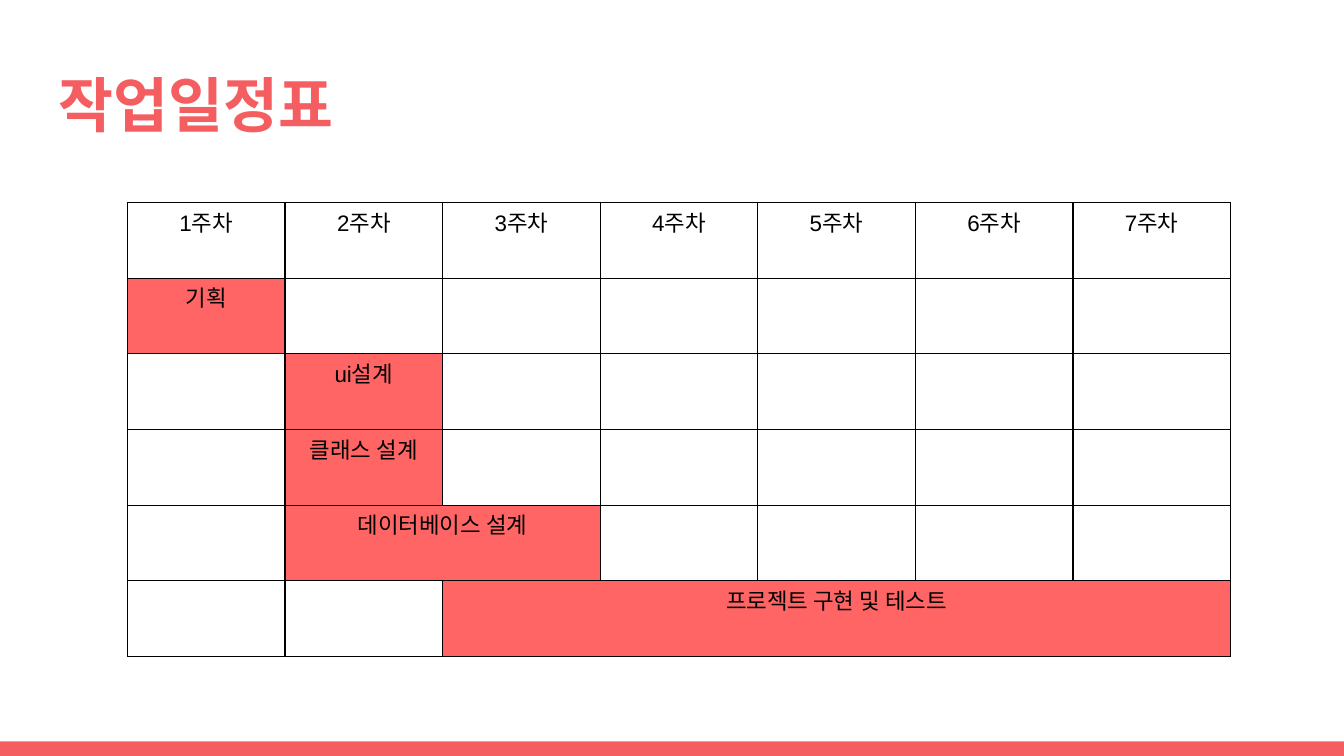
from pptx import Presentation
from pptx.dml.color import RGBColor
from pptx.enum.shapes import MSO_SHAPE
from pptx.enum.text import MSO_ANCHOR, PP_ALIGN
from pptx.oxml import parse_xml
from pptx.oxml.ns import nsdecls
from pptx.util import Pt

# Content
TITLE = "작업일정표"
WEEKS = [f"{week}주차" for week in range(1, 8)]
TASKS = [  # name, first week, number of weeks
    ("기획", 1, 1),
    ("ui설계", 2, 1),
    ("클래스 설계", 2, 1),
    ("데이터베이스 설계", 2, 2),
    ("프로젝트 구현 및 테스트", 3, 5),
]

ACCENT, TASK_FILL, BLACK = "F55E61", "FF6565", "000000"
SLIDE_WIDTH, SLIDE_HEIGHT = 720, 405
BAR_HEIGHT = 7.8
TABLE_LEFT, TABLE_TOP = 68.3, 108.5
COLUMN_WIDTH, ROW_HEIGHT = 84.42, 40.54


def color(value):
    return RGBColor.from_string(value)


def add_borders(cell):
    properties = cell._tc.get_or_add_tcPr()
    for side in ("lnL", "lnR", "lnT", "lnB"):
        properties.append(parse_xml(
            f'<a:{side} {nsdecls("a")} w="{Pt(0.75)}"><a:solidFill>'
            f'<a:srgbClr val="{BLACK}"/></a:solidFill></a:{side}>'))


def write_cell(cell, text):
    cell.text = text
    cell.margin_left = cell.margin_right = Pt(5)
    cell.margin_top = cell.margin_bottom = Pt(1.4)
    paragraph = cell.text_frame.paragraphs[0]
    paragraph.alignment = PP_ALIGN.CENTER
    paragraph.font.size = Pt(12)
    paragraph.font.name = "Arial"
    paragraph.font.color.rgb = color(BLACK)


presentation = Presentation()
presentation.slide_width = Pt(SLIDE_WIDTH)
presentation.slide_height = Pt(SLIDE_HEIGHT)
slide = presentation.slides.add_slide(presentation.slide_layouts[6])

# Bottom bar
bar = slide.shapes.add_shape(
    MSO_SHAPE.RECTANGLE, 0, Pt(SLIDE_HEIGHT - BAR_HEIGHT),
    Pt(SLIDE_WIDTH), Pt(BAR_HEIGHT))
bar.shadow.inherit = False
bar.fill.solid()
bar.fill.fore_color.rgb = color(ACCENT)
bar.line.fill.background()

# Title
title = slide.shapes.add_textbox(Pt(24.5), Pt(31), Pt(671), Pt(49))
frame = title.text_frame
frame.word_wrap = True
frame.vertical_anchor = MSO_ANCHOR.MIDDLE
frame.margin_left = frame.margin_right = Pt(7.2)
frame.margin_top = frame.margin_bottom = Pt(7.2)
paragraph = frame.paragraphs[0]
paragraph.text = TITLE
paragraph.font.size = Pt(32)
paragraph.font.name = "Vollkorn"
paragraph.font.bold = True
paragraph.font.color.rgb = color(ACCENT)

# Schedule grid
row_count, column_count = len(TASKS) + 1, len(WEEKS)
table = slide.shapes.add_table(
    row_count, column_count, Pt(TABLE_LEFT), Pt(TABLE_TOP),
    Pt(COLUMN_WIDTH * column_count), Pt(ROW_HEIGHT * row_count)).table
table.first_row = table.horz_banding = False
for column in table.columns:
    column.width = Pt(COLUMN_WIDTH)
for row in table.rows:
    row.height = Pt(ROW_HEIGHT)
for cell in table.iter_cells():
    add_borders(cell)
    cell.fill.background()

# Week headings
for column, week in enumerate(WEEKS):
    write_cell(table.cell(0, column), week)

# Task bars
for row, (name, first_week, duration) in enumerate(TASKS, start=1):
    cell = table.cell(row, first_week - 1)
    if duration > 1:
        cell.merge(table.cell(row, first_week + duration - 2))
    write_cell(cell, name)
    cell.fill.solid()
    cell.fill.fore_color.rgb = color(TASK_FILL)

presentation.save("out.pptx")
